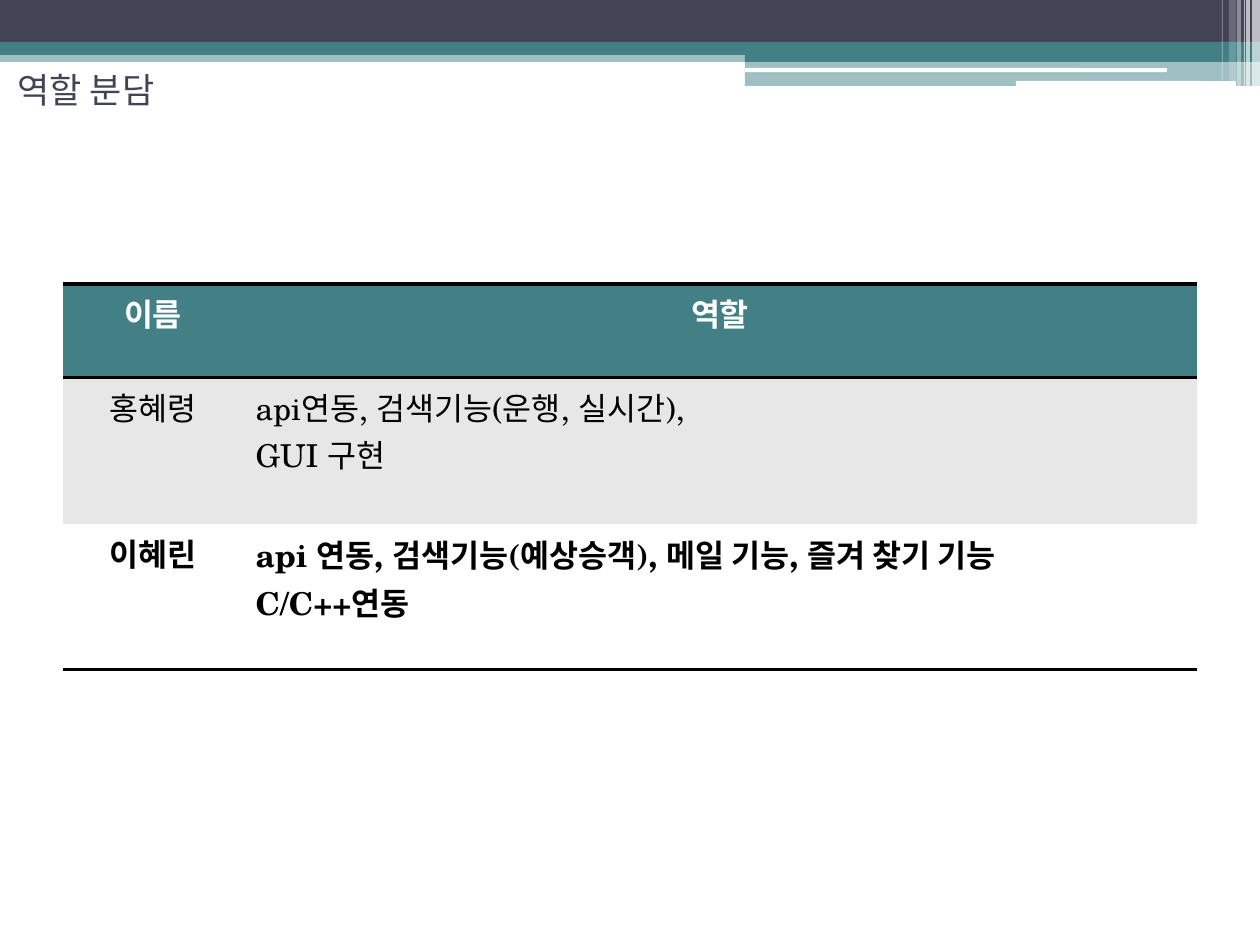
import pptx
import pptx.util
import pptx.dml.color
import pptx.enum.shapes
import pptx.enum.text
import pptx.oxml.ns
from lxml import etree

SCALE = 914400 / 126
COLORS = {"navy": "424456", "teal": "438086", "white": "FFFFFF",
          "black": "000000", "gray": "E7E7E7"}
TITLE = "역할 분담"
TITLE_FONT, TABLE_FONT = "Karla", "TeX Gyre Schola"

# left, top, width, height, color, opacity in percent
BANDS = [
    (0, 50, 1260, 12, "teal", 50),
    (0, 0, 1260, 43, "navy", 100),
    (0, 42, 1260, 13, "teal", 100),
    (745, 49, 515, 13, "teal", 100),
    (745, 61, 515, 25, "teal", 50),
]
ROUNDED_BARS = [(745, 68, 422, 4, "white", 100), (1016, 81, 220, 5, "white", 100)]
STRIPES = [
    (1252, 0, 8, 86, "white", 65),
    (1246, 0, 4, 86, "white", 65),
    (1244, 0, 1, 86, "white", 60),
    (1237, 0, 4, 86, "white", 40),
    (1229, 0, 7, 81, "white", 20),
    (1222, 0, 1, 81, "white", 30),
]

COLUMN_WIDTHS = (180, 954)
# height, fill, text color, bold, ruled edges, cells as lists of lines
ROWS = [
    (94, "teal", "white", True, "TB", (["이름"], ["역할"])),
    (146, "gray", "black", False, "T",
     (["홍혜령"], ["api연동, 검색기능(운행, 실시간),", "GUI 구현"])),
    (146, "white", "black", True, "B",
     (["이혜린"],
      ["api 연동, 검색기능(예상승객), 메일 기능, 즐겨 찾기 기능", "C/C++연동"])),
]


def px(length):
    return pptx.util.Emu(round(length * SCALE))


def rgb(name):
    return pptx.dml.color.RGBColor.from_string(COLORS[name])


def add_child(parent, tag, **attributes):
    return etree.SubElement(parent, pptx.oxml.ns.qn(tag), attributes)


def add_bar(slide, kind, left, top, width, height, color, opacity):
    shape = slide.shapes.add_shape(kind, px(left), px(top), px(width), px(height))
    shape.shadow.inherit = False
    shape.line.fill.background()
    shape.fill.solid()
    shape.fill.fore_color.rgb = rgb(color)
    if opacity < 100:
        color_element = shape.fill._xPr.find(".//" + pptx.oxml.ns.qn("a:srgbClr"))
        add_child(color_element, "a:alpha", val=str(opacity * 1000))


def write(paragraph, text, font, size, color, bold, alignment):
    paragraph.alignment = alignment
    run = paragraph.add_run()
    run.text = text
    run.font.name = font
    run.font.size = pptx.util.Pt(size)
    run.font.bold = bold
    run.font.color.rgb = rgb(color)


def set_borders(cell, ruled):
    """Rule the named edges in black and clear the others."""
    properties = cell._tc.get_or_add_tcPr()
    for edge in "LRTB":
        line = add_child(properties, "a:ln" + edge, w=str(pptx.util.Pt(2)))
        if edge in ruled:
            fill = add_child(line, "a:solidFill")
            add_child(fill, "a:srgbClr", val=COLORS["black"])
        else:
            add_child(line, "a:noFill")


def add_role_table(slide):
    frame = slide.shapes.add_table(
        len(ROWS), len(COLUMN_WIDTHS), px(63), px(284),
        px(sum(COLUMN_WIDTHS)), px(sum(row[0] for row in ROWS)))
    table = frame.table
    table.horz_banding = False
    for column, width in zip(table.columns, COLUMN_WIDTHS):
        column.width = px(width)
    align = pptx.enum.text.PP_ALIGN
    for i, (height, fill, color, bold, ruled, cells) in enumerate(ROWS):
        table.rows[i].height = px(height)
        for j, lines in enumerate(cells):
            cell = table.cell(i, j)
            set_borders(cell, ruled)
            cell.fill.solid()
            cell.fill.fore_color.rgb = rgb(fill)
            alignment = align.CENTER if i == 0 or j == 0 else align.LEFT
            for k, line in enumerate(lines):
                text_frame = cell.text_frame
                paragraph = text_frame.add_paragraph() if k else text_frame.paragraphs[0]
                write(paragraph, line, TABLE_FONT, 18, color, bold, alignment)


def place_title(slide):
    title = slide.shapes.title
    title.left, title.top, title.width, title.height = px(5), px(16), px(1134), px(147)
    frame = title.text_frame
    frame.word_wrap = True
    frame.auto_size = pptx.enum.text.MSO_AUTO_SIZE.NONE
    frame.vertical_anchor = pptx.enum.text.MSO_ANCHOR.MIDDLE
    write(frame.paragraphs[0], TITLE, TITLE_FONT, 20, "navy", False,
          pptx.enum.text.PP_ALIGN.LEFT)


def main():
    presentation = pptx.Presentation()
    presentation.slide_width, presentation.slide_height = px(1260), px(945)
    slide = presentation.slides.add_slide(presentation.slide_layouts[5])
    kinds = pptx.enum.shapes.MSO_SHAPE
    for kind, bars in ((kinds.RECTANGLE, BANDS),
                       (kinds.ROUNDED_RECTANGLE, ROUNDED_BARS),
                       (kinds.RECTANGLE, STRIPES)):
        for bar in bars:
            add_bar(slide, kind, *bar)
    add_role_table(slide)
    place_title(slide)
    presentation.save("out.pptx")


if __name__ == "__main__":
    main()
